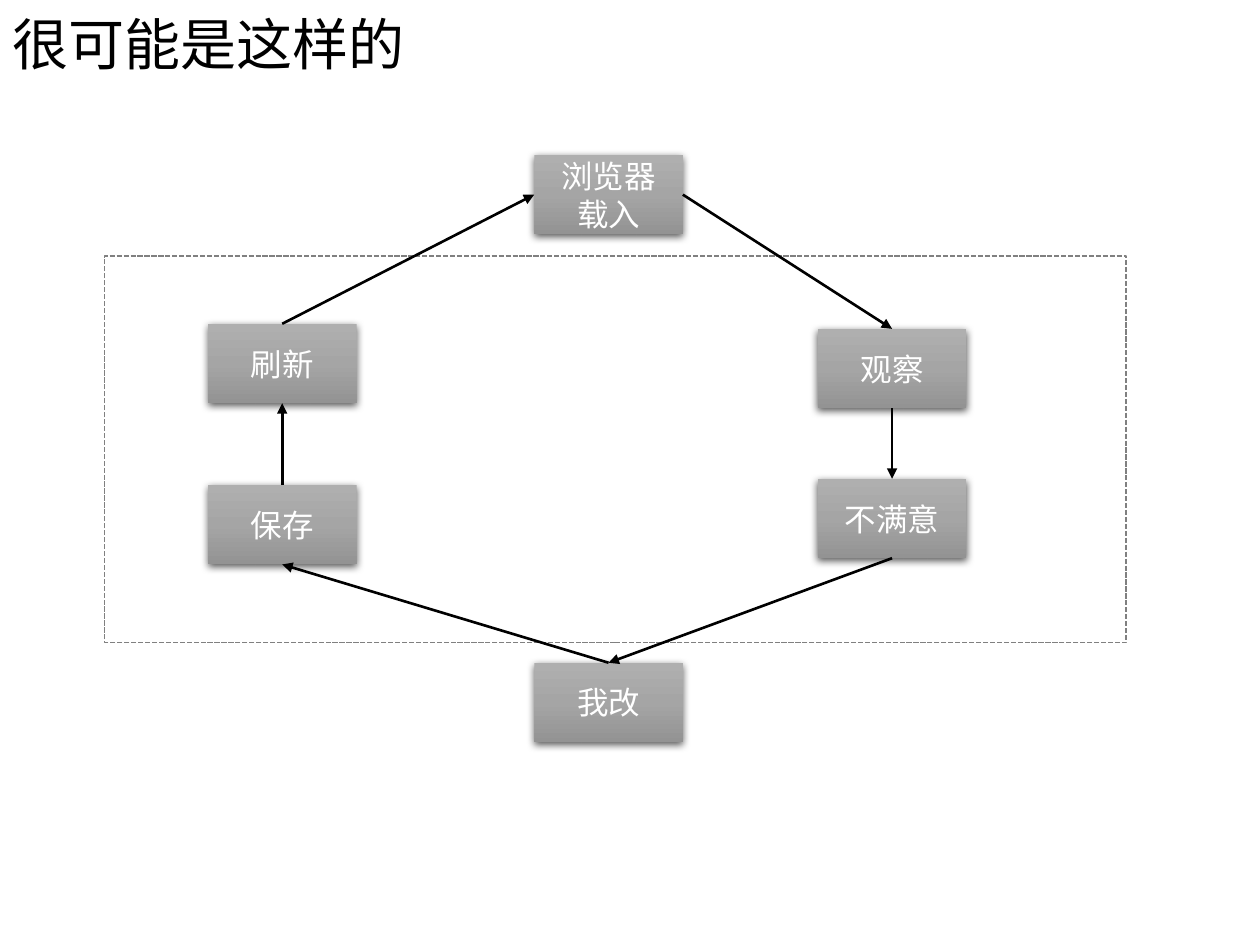
from copy import deepcopy

from pptx import Presentation
from pptx.dml.color import RGBColor
from pptx.enum.dml import MSO_LINE
from pptx.enum.shapes import MSO_CONNECTOR, MSO_SHAPE
from pptx.enum.text import MSO_ANCHOR, MSO_AUTO_SIZE, PP_ALIGN
from pptx.oxml.ns import qn
from pptx.oxml.xmlchemy import OxmlElement as Element
from pptx.util import Inches, Pt

BLACK = RGBColor(0x00, 0x00, 0x00)
WHITE = RGBColor(0xFF, 0xFF, 0xFF)
FRAME_GREY = RGBColor(0x80, 0x80, 0x80)
GRADIENT = [
    (0, RGBColor(0xAF, 0xAF, 0xAF)),
    (0.5, RGBColor(0xA5, 0xA5, 0xA5)),
    (1, RGBColor(0x93, 0x93, 0x93)),
]

# Columns and rows of the cycle, in inches
LEFT, MIDDLE, RIGHT = 1.65, 4.24, 6.49
BOX_W, BOX_H = 1.18, 0.63
TOP, LEFT_UPPER, RIGHT_UPPER = 1.23, 2.57, 2.61
RIGHT_LOWER, LEFT_LOWER, BOTTOM = 3.8, 3.85, 5.26

# Connection sites of a rectangle
SITE_TOP, SITE_LEFT, SITE_BOTTOM, SITE_RIGHT = range(4)


def add_child(parent, tag, **attributes):
    child = Element(tag)
    for name, value in attributes.items():
        child.set(name, str(value))
    parent.append(child)
    return child


def style_text(tf, size, font, color):
    for p in tf.paragraphs:
        for r in p.runs:
            r.font.size = Pt(size)
            r.font.name = font
            r.font.color.rgb = color
            add_child(r.font._element, "a:ea", typeface=font)


prs = Presentation()
prs.slide_width, prs.slide_height = Inches(10), Inches(7.5)
slide = prs.slides.add_slide(prs.slide_layouts[6])
shapes = slide.shapes

# Title
title = shapes.add_textbox(0, Inches(0.03), Inches(5.43), Inches(0.64))
tf = title.text_frame
tf.word_wrap = True
tf.auto_size = MSO_AUTO_SIZE.SHAPE_TO_FIT_TEXT
tf.text = "很可能是这样的"
style_text(tf, 32, "Noto Sans CJK TC", BLACK)

# Steps of the cycle
steps = {}
for name, text, x, y in [
    ("load", "浏览器\n载入", MIDDLE, TOP),
    ("look", "观察", RIGHT, RIGHT_UPPER),
    ("dislike", "不满意", RIGHT, RIGHT_LOWER),
    ("save", "保存", LEFT, LEFT_LOWER),
    ("edit", "我改", MIDDLE, BOTTOM),
    ("refresh", "刷新", LEFT, LEFT_UPPER),
]:
    sp = shapes.add_shape(MSO_SHAPE.FLOWCHART_PROCESS, Inches(x), Inches(y),
                          Inches(BOX_W), Inches(BOX_H))
    sp.line.fill.background()

    # Three-stop gradient running downwards
    sp.fill.gradient()
    sp.fill.gradient_angle = 270
    stop_list = sp._element.spPr.find(".//" + qn("a:gsLst"))
    stop_list.append(deepcopy(stop_list[0]))
    for stop, (position, color) in zip(sp.fill.gradient_stops, GRADIENT):
        stop.position = position
        stop.color.rgb = color

    # Soft shadow below
    sp.shadow.inherit = False
    effects = sp._element.spPr.find(qn("a:effectLst"))
    shadow = add_child(effects, "a:outerShdw", blurRad=Pt(4.5), dist=Pt(1.5),
                       dir=90 * 60000, algn="ctr", rotWithShape=0)
    shade = add_child(shadow, "a:srgbClr", val=BLACK)
    add_child(shade, "a:alpha", val=63000)

    tf = sp.text_frame
    tf.text = text
    tf.vertical_anchor = MSO_ANCHOR.MIDDLE
    for p in tf.paragraphs:
        p.alignment = PP_ALIGN.CENTER
    style_text(tf, 18, "Karla", WHITE)
    steps[name] = sp

# Dashed frame
frame = shapes.add_shape(MSO_SHAPE.RECTANGLE, Inches(0.83), Inches(2.03),
                         Inches(8.11), Inches(3.07))
frame.shadow.inherit = False
frame.fill.background()
frame.line.color.rgb = FRAME_GREY
frame.line.width = Pt(1)
frame.line.dash_style = MSO_LINE.SQUARE_DOT

# Arrows around the cycle
for start, start_site, end, end_site in [
    ("load", SITE_RIGHT, "look", SITE_TOP),
    ("look", SITE_BOTTOM, "dislike", SITE_TOP),
    ("dislike", SITE_BOTTOM, "edit", SITE_TOP),
    ("edit", SITE_TOP, "save", SITE_BOTTOM),
    ("save", SITE_TOP, "refresh", SITE_BOTTOM),
    ("refresh", SITE_TOP, "load", SITE_LEFT),
]:
    arrow = shapes.add_connector(MSO_CONNECTOR.STRAIGHT, 0, 0, 0, 0)
    arrow.begin_connect(steps[start], start_site)
    arrow.end_connect(steps[end], end_site)
    arrow.line.color.rgb = BLACK
    arrow.line.width = Pt(1.5)
    add_child(arrow.line._get_or_add_ln(), "a:tailEnd", type="triangle")
    add_child(arrow._element.spPr, "a:effectLst")

prs.save("out.pptx")
